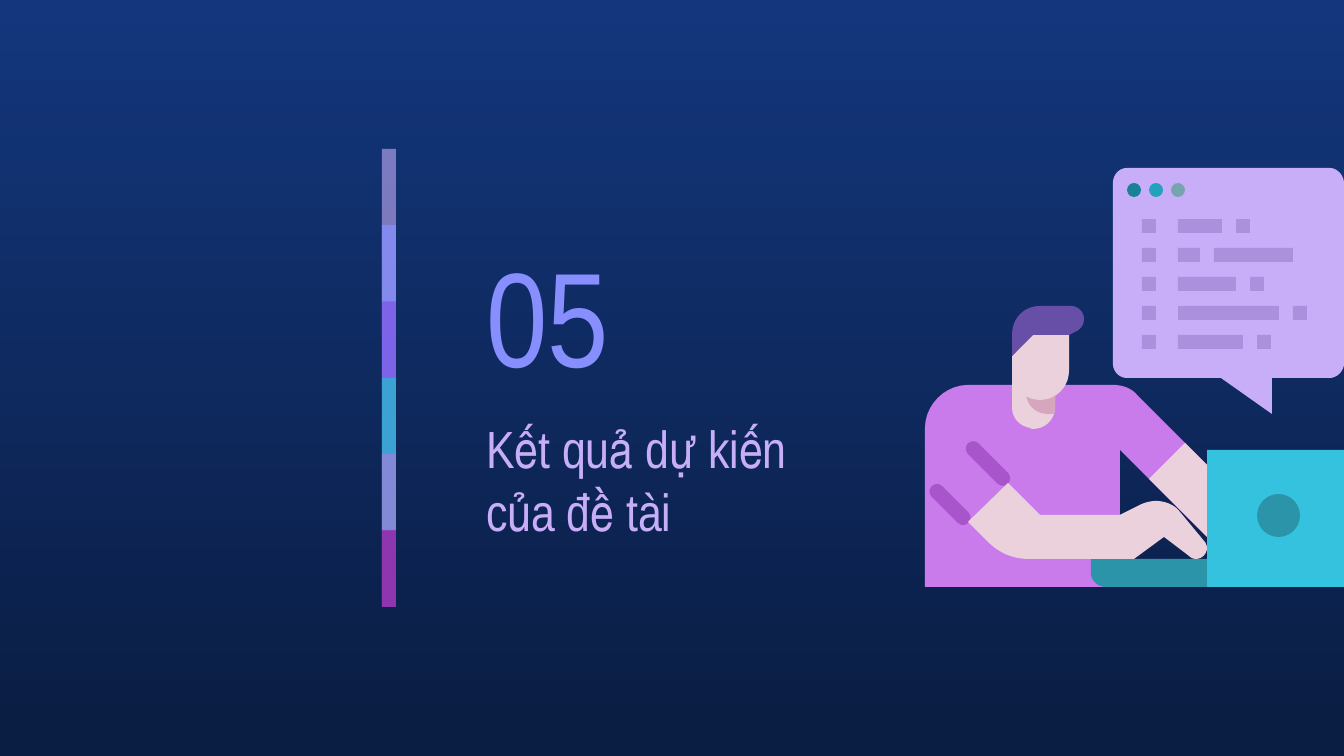
from lxml.etree import SubElement
from pptx import Presentation
from pptx.dml.color import RGBColor
from pptx.enum.shapes import MSO_SHAPE
from pptx.enum.text import MSO_ANCHOR, MSO_AUTO_SIZE, PP_ALIGN
from pptx.oxml.ns import qn
from pptx.util import Pt

SLIDE_W, SLIDE_H = 1344, 756
EMU_PER_PX = 9144000 / SLIDE_W
FONT = "Arial Narrow"
CURVE_STEPS = 10

BG_TOP = RGBColor(0x13, 0x36, 0x7C)
BG_BOTTOM = RGBColor(0x0A, 0x1D, 0x42)
PERIWINKLE = RGBColor(0x87, 0x8F, 0xFF)
LILAC = RGBColor(0xC8, 0xAE, 0xF8)
CODE_LILAC = RGBColor(0xAB, 0x90, 0xDE)
VIOLET = RGBColor(0x91, 0x54, 0xF8)
ORCHID = RGBColor(0xCA, 0x7B, 0xEB)
SLEEVE = RGBColor(0xA8, 0x55, 0xCB)
MAGENTA = RGBColor(0x97, 0x2C, 0xB4)
HAIR = RGBColor(0x67, 0x4E, 0xA7)
SKIN = RGBColor(0xEA, 0xD1, 0xDC)
SKIN_SHADE = RGBColor(0xD5, 0xA6, 0xBD)
CYAN = RGBColor(0x35, 0xC2, 0xDF)
TEAL = RGBColor(0x2B, 0x94, 0xA9)
DOTS = [RGBColor(0x19, 0x82, 0x98), RGBColor(0x22, 0xA2, 0xBC), RGBColor(0x76, 0xA5, 0xAF)]
# Colour and opacity in percent, from top to bottom
STRIPES = [(LILAC, 59), (PERIWINKLE, 74), (VIOLET, 53), (CYAN, 76), (ORCHID, 56), (MAGENTA, 74)]
# Widths of the second and third block of each code line
CODE_LINES = [(44, 14), (22, 79), (58, 14), (101, 14), (65, 14)]

# In an outline, a pair is a corner and six numbers are a cubic curve.
SHIRT = [(968, 385), (945, 385, 925, 405, 925, 428), (925, 587), (1120, 587), (1120, 450),
         (1207, 537), (1207, 465), (1138, 396), (1132, 388, 1122, 385, 1113, 385)]
KEYBOARD = [(1091, 559), (1091, 573), (1091, 581, 1098, 587, 1106, 587), (1207, 587), (1207, 559)]
NECK = [(1012, 364), (1012, 407), (1012, 418, 1019, 426, 1030, 428),
        (1031, 429, 1032, 429, 1033, 429), (1043, 429, 1051, 423, 1054, 414),
        (1055, 411, 1055, 409, 1055, 407), (1055, 364)]
NECK_SHADE = [(1026, 364), (1026, 392), (1026, 405, 1036, 414, 1048, 414), (1054, 414),
              (1055, 411, 1055, 409, 1055, 407), (1055, 364)]
NEAR_ARM = [(1008, 483), (968, 522), (988, 542), (999, 553, 1013, 559, 1028, 559), (1134, 559),
            (1164, 537), (1189, 556), (1191, 558, 1193, 559, 1196, 559),
            (1202, 559, 1207, 554, 1207, 548), (1207, 546, 1206, 543, 1204, 541), (1180, 512),
            (1175, 505, 1165, 501, 1156, 501), (1152, 501, 1147, 502, 1142, 504),
            (1120, 515), (1040, 515)]
FAR_ARM = [(1185, 443), (1149, 479), (1207, 537), (1207, 465)]
BUBBLE = [(1127, 168), (1119, 168, 1113, 175, 1113, 183), (1113, 364),
          (1113, 371, 1119, 378, 1127, 378), (1221, 378), (1272, 414), (1272, 378), (1330, 378),
          (1337, 378, 1344, 371, 1344, 364), (1344, 183), (1344, 175, 1337, 168, 1330, 168)]
FACE = [(1033, 335), (1012, 356), (1012, 371), (1012, 387, 1024, 400, 1040, 400),
        (1056, 400, 1069, 387, 1069, 371), (1069, 335)]
HAIRCUT = [(1040, 306), (1024, 306, 1012, 318, 1012, 335), (1012, 356), (1033, 335), (1069, 335),
           (1077, 331), (1081, 329, 1084, 324, 1084, 319), (1084, 312, 1078, 306, 1071, 306)]


def px(n):
    return round(n * EMU_PER_PX)


def paint(sp, color, opacity=100):
    sp.shadow.inherit = False
    sp.line.fill.background()
    sp.fill.solid()
    sp.fill.fore_color.rgb = color
    if opacity < 100:
        clr = sp.fill._xPr.find(qn("a:solidFill"))[0]
        SubElement(clr, qn("a:alpha")).set("val", str(opacity * 1000))


def add_preset(shapes, kind, x, y, w, h, color, opacity=100):
    sp = shapes.add_shape(kind, px(x), px(y), px(w), px(h))
    paint(sp, color, opacity)
    return sp


def flatten(outline):
    """Turn corners and cubic curves into plain points."""
    points = [outline[0]]
    for seg in outline[1:]:
        if len(seg) == 2:
            points.append(seg)
            continue
        start = points[-1]
        for step in range(1, CURVE_STEPS + 1):
            t = step / CURVE_STEPS
            weights = ((1 - t) ** 3, 3 * t * (1 - t) ** 2, 3 * t * t * (1 - t), t ** 3)
            ctrl = start + seg
            points.append(tuple(sum(w * c for w, c in zip(weights, ctrl[axis::2]))
                                for axis in (0, 1)))
    return points


def add_outline(shapes, outline, color):
    start, *rest = [(px(x), px(y)) for x, y in flatten(outline)]
    builder = shapes.build_freeform(*start)
    builder.add_line_segments(rest, close=True)
    paint(builder.convert_to_shape(), color)


def add_sleeve_cuff(shapes, cx, cy, length):
    sp = add_preset(shapes, MSO_SHAPE.ROUNDED_RECTANGLE, cx - length / 2, cy - 7,
                    length, 15, SLEEVE)
    sp.adjustments[0] = 0.5
    sp.rotation = 45


def set_text(sp, x, y, w, h, text, size, color, anchor):
    sp.left, sp.top, sp.width, sp.height = px(x), px(y), px(w), px(h)
    tf = sp.text_frame
    tf.word_wrap = True
    tf.auto_size = MSO_AUTO_SIZE.NONE
    tf.vertical_anchor = anchor
    tf.margin_left = tf.margin_right = tf.margin_top = tf.margin_bottom = px(13)
    p = tf.paragraphs[0]
    p.alignment = PP_ALIGN.LEFT
    r = p.add_run()
    r.text = text
    r.font.name = FONT
    r.font.size = Pt(size)
    r.font.color.rgb = color


def set_background(s):
    fill = s.background.fill
    fill.gradient()
    fill.gradient_angle = 270
    for stop, color in zip(fill.gradient_stops, (BG_TOP, BG_BOTTOM)):
        stop.color.rgb = color


def add_code_lines(shapes):
    for i, (second, third) in enumerate(CODE_LINES):
        blocks = [(1142, 14), (1178, second), (1178 + second + 14, third)]
        for x, w in blocks:
            add_preset(shapes, MSO_SHAPE.RECTANGLE, x, 219 + 29 * i, w, 14, CODE_LILAC)


def add_programmer(s):
    shapes = s.shapes.add_group_shape().shapes
    add_outline(shapes, SHIRT, ORCHID)
    add_sleeve_cuff(shapes, 950, 504, 52)
    add_sleeve_cuff(shapes, 988, 463, 57)
    add_preset(shapes, MSO_SHAPE.RECTANGLE, 1207, 450, 137, 137, CYAN)
    for outline, color in [(KEYBOARD, TEAL), (NECK, SKIN), (NECK_SHADE, SKIN_SHADE),
                           (NEAR_ARM, SKIN), (FAR_ARM, SKIN), (BUBBLE, LILAC)]:
        add_outline(shapes, outline, color)
    add_preset(shapes, MSO_SHAPE.OVAL, 1257, 494, 43, 43, TEAL)
    add_code_lines(shapes)
    add_outline(shapes, FACE, SKIN)
    add_outline(shapes, HAIRCUT, HAIR)
    for i, color in enumerate(DOTS):
        add_preset(shapes, MSO_SHAPE.OVAL, 1127 + 22 * i, 183, 14, 14, color)


def add_stripes(s):
    """Stack translucent bars, each reaching under the next one."""
    shapes = s.shapes.add_group_shape().shapes
    top, bottom = 149, 607
    for i, (color, opacity) in enumerate(STRIPES):
        y = top + (bottom - top) * i // len(STRIPES)
        add_preset(shapes, MSO_SHAPE.RECTANGLE, 382, y, 14, min(153, bottom - y), color, opacity)


def main():
    prs = Presentation()
    prs.slide_width, prs.slide_height = px(SLIDE_W), px(SLIDE_H)
    s = prs.slides.add_slide(prs.slide_layouts[5])
    set_background(s)
    set_text(s.shapes.title, 473, 403, 386, 129, "Kết quả dự kiến của đề tài",
             28, LILAC, MSO_ANCHOR.TOP)
    number = s.shapes.add_textbox(0, 0, 0, 0)
    set_text(number, 473, 223, 235, 181, "05", 72, PERIWINKLE, MSO_ANCHOR.MIDDLE)
    add_programmer(s)
    add_stripes(s)
    prs.save("out.pptx")


if __name__ == "__main__":
    main()
